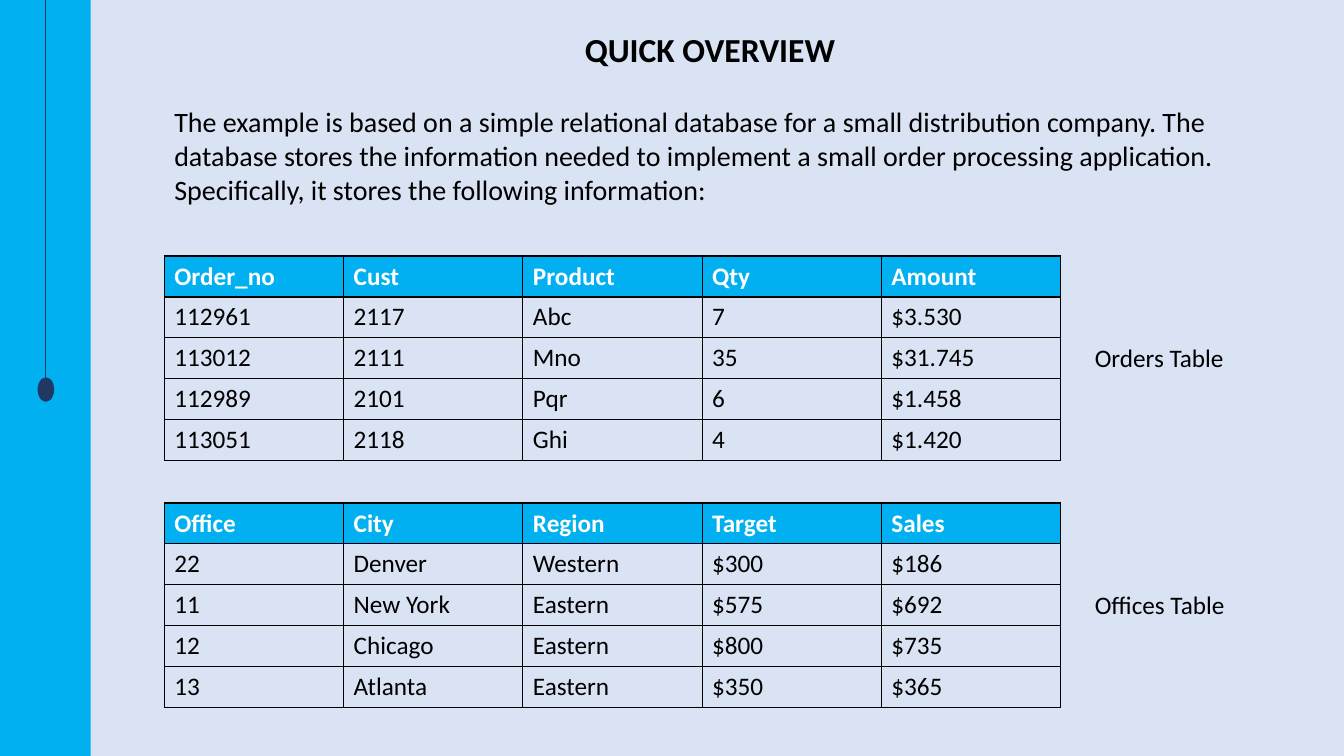
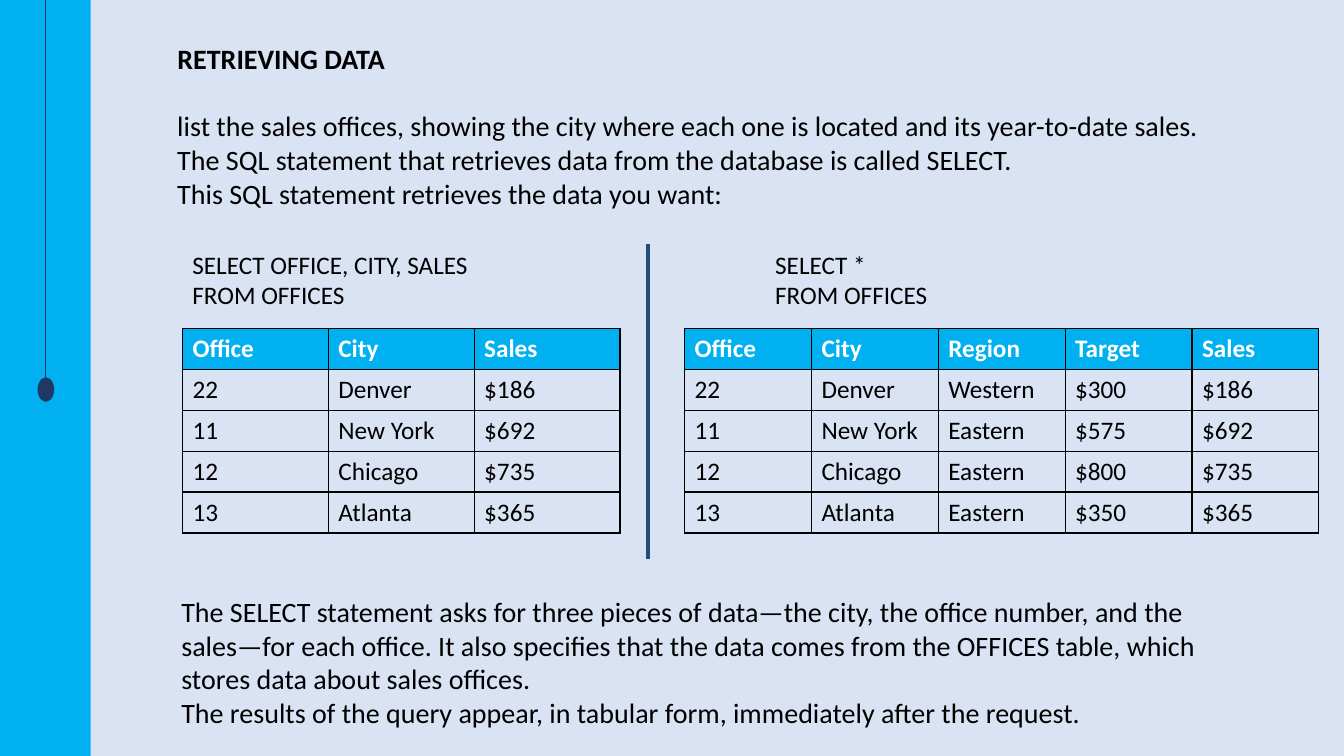
from lxml import etree
from pptx import Presentation
from pptx.dml.color import RGBColor
from pptx.enum.shapes import MSO_CONNECTOR, MSO_SHAPE
from pptx.enum.text import MSO_ANCHOR, MSO_AUTO_SIZE, PP_ALIGN
from pptx.oxml.ns import qn
from pptx.util import Pt

BACKGROUND = RGBColor(0xDA, 0xE3, 0xF3)
CYAN = RGBColor(0x00, 0xB0, 0xF0)
NAVY = RGBColor(0x20, 0x38, 0x64)
BLUE = RGBColor(0x1F, 0x4E, 0x79)
BLACK = RGBColor(0x00, 0x00, 0x00)
WHITE = RGBColor(0xFF, 0xFF, 0xFF)

STRAIGHT = MSO_CONNECTOR.STRAIGHT
RECT, OVAL = MSO_SHAPE.RECTANGLE, MSO_SHAPE.OVAL
LEFT, TOP = PP_ALIGN.LEFT, MSO_ANCHOR.TOP
NO_FIT = MSO_AUTO_SIZE.NONE

FONT = "Calibri"
BODY, SMALL = 20, 18
TITLE_ONLY = 5
SCALE = 9144  # EMU per px, 100 px to the inch

ORDERS = [
    ("Order_no", "Cust", "Product", "Qty", "Amount"),
    ("112961", "2117", "Abc", "7", "$3.530"),
    ("113012", "2111", "Mno", "35", "$31.745"),
    ("112989", "2101", "Pqr", "6", "$1.458"),
    ("113051", "2118", "Ghi", "4", "$1.420"),
]
OFFICES = [
    ("Office", "City", "Region", "Target", "Sales"),
    ("22", "Denver", "Western", "$300", "$186"),
    ("11", "New York", "Eastern", "$575", "$692"),
    ("12", "Chicago", "Eastern", "$800", "$735"),
    ("13", "Atlanta", "Eastern", "$350", "$365"),
]


def px(*lengths):
    return [n * SCALE for n in lengths]


def border_cell(cell):
    """Draw a 1 pt black line on all four sides."""
    tcPr = cell._tc.get_or_add_tcPr()
    for side in ("a:lnL", "a:lnR", "a:lnT", "a:lnB"):
        ln = etree.SubElement(tcPr, qn(side), w=str(Pt(1)))
        fill = etree.SubElement(ln, qn("a:solidFill"))
        etree.SubElement(fill, qn("a:srgbClr"), val=str(BLACK))


class Deck:
    """Holds the shared style and the slide being built."""

    def __init__(self):
        self.prs = Presentation()
        self.prs.slide_width, self.prs.slide_height = px(1333, 750)
        self.slide = None

    def new_slide(self, title, box, size):
        layout = self.prs.slide_layouts[TITLE_ONLY]
        self.slide = self.prs.slides.add_slide(layout)
        fill = self.slide.background.fill
        fill.solid()
        fill.fore_color.rgb = BACKGROUND
        self.shape(RECT, (0, 0, 90, 750), CYAN)
        self.line((45, 0), (45, 375), NAVY, 0.5)
        self.shape(OVAL, (38, 375, 15, 23), NAVY, NAVY)
        sp = self.slide.shapes.title
        sp.left, sp.top, sp.width, sp.height = px(*box)
        self.fill_text(sp.text_frame, [title], size, bold=True)

    def shape(self, kind, box, color, outline=None):
        sp = self.slide.shapes.add_shape(kind, *px(*box))
        sp.shadow.inherit = False
        sp.fill.solid()
        sp.fill.fore_color.rgb = color
        if outline is None:
            sp.line.fill.background()
        else:
            sp.line.color.rgb = outline
            sp.line.width = Pt(1)

    def line(self, start, end, color, width):
        cxn = self.slide.shapes.add_connector(STRAIGHT, *px(*start, *end))
        cxn.line.color.rgb = color
        cxn.line.width = Pt(width)
        etree.SubElement(cxn._element.spPr, qn("a:effectLst"))

    def fill_text(self, tf, lines, size, bold=False):
        tf.word_wrap = True
        tf.auto_size = NO_FIT
        tf.vertical_anchor = TOP
        for i, line in enumerate(lines):
            p = tf.add_paragraph() if i else tf.paragraphs[0]
            self.run(p, line, size, BLACK, bold)

    def run(self, p, text, size, color, bold):
        p.alignment = LEFT
        p.line_spacing = 1.0
        p.space_before = Pt(0)
        r = p.add_run()
        r.text = text
        r.font.name = FONT
        r.font.size = Pt(size)
        r.font.bold = bold
        r.font.color.rgb = color

    def text(self, box, lines, size):
        sp = self.slide.shapes.add_textbox(*px(*box))
        self.fill_text(sp.text_frame, lines, size)

    def table(self, box, rows):
        """Add a table with equal rows and columns and a cyan header."""
        left, top, width, height = px(*box)
        n_rows, n_cols = len(rows), len(rows[0])
        table = self.slide.shapes.add_table(
            n_rows, n_cols, left, top, width, height).table
        table.horz_banding = False
        for i, values in enumerate(rows):
            header = i == 0
            for j, value in enumerate(values):
                cell = table.cell(i, j)
                border_cell(cell)
                if header:
                    cell.fill.solid()
                    cell.fill.fore_color.rgb = CYAN
                else:
                    cell.fill.background()
                self.run(cell.text_frame.paragraphs[0], value, SMALL,
                         WHITE if header else BLACK, header)


def quick_overview(deck):
    deck.new_slide("QUICK OVERVIEW", (570, 24, 278, 50), 24)
    deck.text((163, 99, 1092, 111), [
        "The example is based on a simple relational database for a small "
        "distribution company. The database stores the information needed to "
        "implement a small order processing application. Specifically, it "
        "stores the following information:",
    ], BODY)
    for top, label, rows in ((254, "Orders Table", ORDERS),
                             (499, "Offices Table", OFFICES)):
        deck.table((163, top, 889, 202), rows)
        deck.text((1076, top + 81, 189, 40), [label], SMALL)


def retrieving_data(deck):
    deck.new_slide("RETRIEVING DATA", (166, 36, 1090, 44), BODY)
    deck.text((166, 103, 1090, 111), [
        "list the sales offices, showing the city where each one is located "
        "and its year-to-date sales.",
        "The SQL statement that retrieves data from the database is called "
        "SELECT.",
        "This SQL statement retrieves the data you want:",
    ], BODY)
    for left, query in ((181, "SELECT OFFICE, CITY, SALES"),
                        (759, "SELECT *")):
        deck.text((left, 242, 394, 71), [query, "FROM OFFICES"], SMALL)
    selected = [(office, city, sales) for office, city, _, _, sales in OFFICES]
    deck.table((181, 326, 434, 202), selected)
    deck.table((679, 326, 629, 200), OFFICES)
    deck.line((643, 242), (643, 555), BLUE, 3)
    deck.text((170, 585, 1072, 145), [
        "The SELECT statement asks for three pieces of data—the city, the "
        "office number, and the sales—for each office. It also specifies that "
        "the data comes from the OFFICES table, which stores data about sales "
        "offices.",
        "The results of the query appear, in tabular form, immediately after "
        "the request.",
    ], BODY)


def main():
    deck = Deck()
    quick_overview(deck)
    retrieving_data(deck)
    deck.prs.save("out.pptx")


if __name__ == "__main__":
    main()
